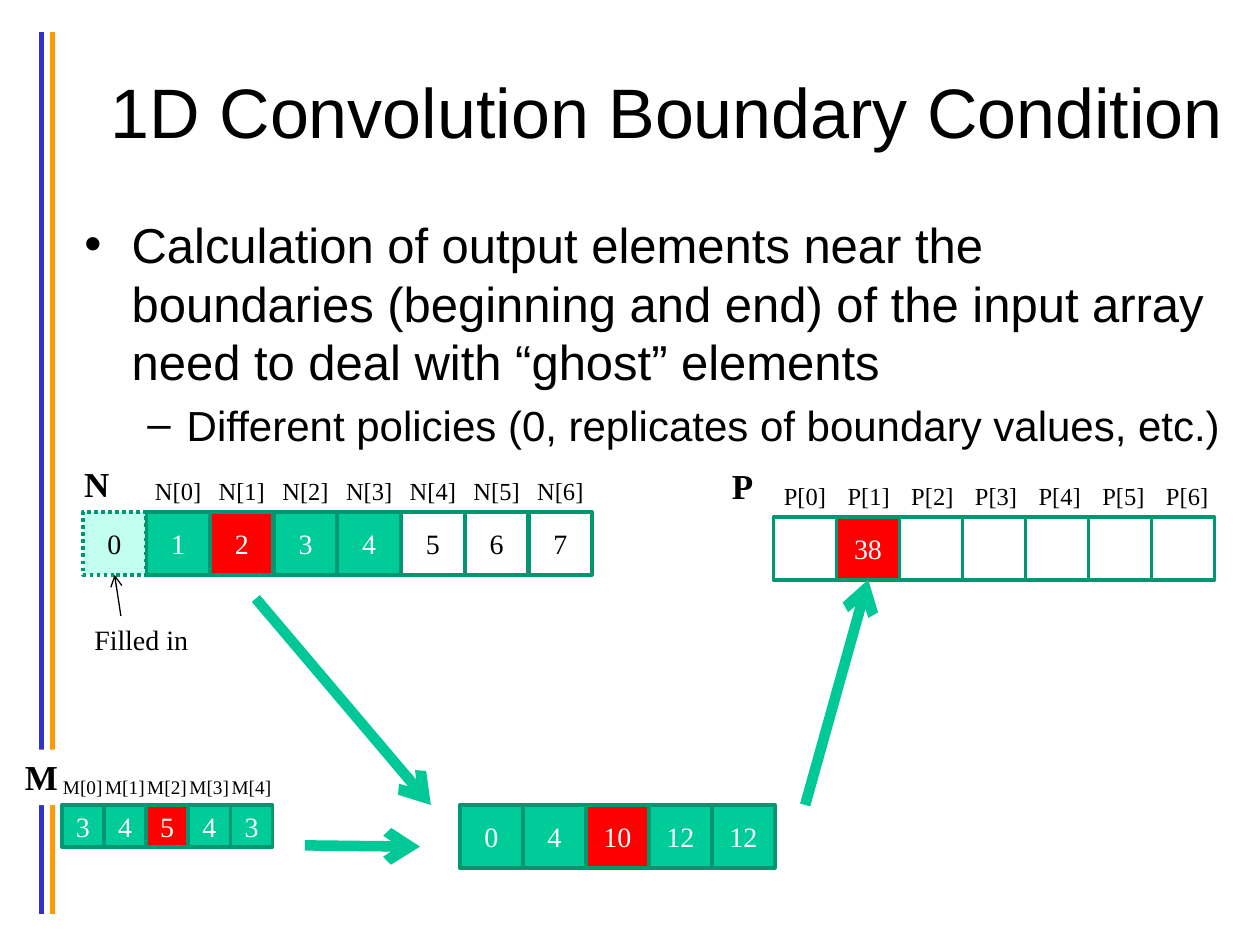
"""Build the slide on boundary conditions in 1D convolution."""
from dataclasses import dataclass

from lxml import etree
from pptx import Presentation
from pptx.dml.color import RGBColor
from pptx.enum.dml import MSO_LINE
from pptx.enum.shapes import MSO_CONNECTOR, MSO_SHAPE
from pptx.enum.text import MSO_ANCHOR, PP_ALIGN
from pptx.oxml.ns import qn
from pptx.util import Pt

RECTANGLE = MSO_SHAPE.RECTANGLE
STRAIGHT = MSO_CONNECTOR.STRAIGHT
DOTTED = MSO_LINE.ROUND_DOT
CENTER, LEFT = PP_ALIGN.CENTER, PP_ALIGN.LEFT
MIDDLE, TOP = MSO_ANCHOR.MIDDLE, MSO_ANCHOR.TOP


@dataclass(frozen=True)
class Theme:
    heading_font: str = "Arial"
    diagram_font: str = "Times New Roman"
    black: str = "000000"
    white: str = "FFFFFF"
    green: str = "00CC99"
    border: str = "009771"
    focus: str = "FF0000"
    ghost: str = "C2FFF0"
    arrow: str = "00C896"
    blue_bar: str = "3333CC"
    orange_bar: str = "FF9900"
    title_size: int = 40
    array_name_size: int = 20
    value_size: int = 16


THEME = Theme()

TITLE = "1D Convolution Boundary Condition"
TITLE_BOX = (54, 18, 654, 90)
BULLETS = [
    ("Calculation of output elements near the boundaries (beginning and end) "
     "of the input array need to deal with “ghost” elements", 28, 27, -27),
    ("Different policies (0, replicates of boundary values, etc.)", 24, 58.5, -22.5),
]
BODY_BOX = (41, 118.8, 666, 174)

USED, FOCUS, GHOST, PLAIN = "used", "focus", "ghost", "plain"
STYLES = {
    USED: (THEME.green, THEME.white),
    FOCUS: (THEME.focus, THEME.white),
    GHOST: (THEME.ghost, THEME.black),
    PLAIN: (None, THEME.black),
}
WINDOW = [USED, USED, FOCUS, USED, USED]
ARRAYS = [
    dict(values=[3, 4, 5, 4, 3], styles=WINDOW, left=35.3, top=460,
         size=24, pitch=24.1, label="M", label_size=11),
    dict(values=[0, 4, 10, 12, 12], styles=WINDOW, left=262.8, top=460,
         size=36, pitch=36),
    dict(values=["", 38, "", "", "", "", ""], styles=[PLAIN, FOCUS] + [PLAIN] * 5,
         left=442, top=295.5, size=36, pitch=36, label="P", label_size=14, label_pitch=36.4),
    dict(values=[0, 1, 2, 3, 4, 5, 6, 7],
         styles=[GHOST, USED, FOCUS, USED, USED, PLAIN, PLAIN, PLAIN],
         left=47.4, top=292.5, size=36, pitch=36.4, label="N", label_size=14),
]
ARRAY_NAMES = [
    ("M", (7.2, 428.4, 33.8, 31.7), THEME.white),
    ("N", (41, 260.6, 29.5, 31.7), None),
    ("P", (411.1, 262.1, 26.6, 31.7), None),
]
GHOST_NOTE = ("Filled in", (46.8, 352, 69, 26.6))

BARS = [(23.9, THEME.blue_bar), (30, THEME.orange_bar)]
ARROWS = [
    ((174.2, 483.1), (240, 483.8), THEME.arrow, 6),
    ((460.1, 460), (496.1, 331.2), THEME.arrow, 6),
    ((146.2, 342), (246.2, 460), THEME.arrow, 6),
    ((69.1, 352), (65.5, 328.5), THEME.black, 0.75),
]


def place(part, box):
    part.left, part.top, part.width, part.height = map(Pt, box)


def style_paragraph(paragraph, font_name, size, color, bold=False):
    for run in paragraph.runs:
        run.font.name = font_name
        run.font.size = Pt(size)
        run.font.bold = bold
        run.font.color.rgb = RGBColor.from_string(color)


def add_line(slide, start, end, color, width, arrow=False):
    line = slide.shapes.add_connector(STRAIGHT, *map(Pt, (*start, *end)))
    line.line.color.rgb = RGBColor.from_string(color)
    line.line.width = Pt(width)
    if arrow:
        etree.SubElement(line.line._get_or_add_ln(), qn("a:tailEnd"), type="arrow")
    etree.SubElement(line._element.spPr, qn("a:effectLst"))


def add_label(slide, text, box, size, align=LEFT, bold=False, fill=None):
    label = slide.shapes.add_textbox(*map(Pt, box))
    label.text_frame.text = text
    label.text_frame.word_wrap = False
    label.text_frame.vertical_anchor = TOP
    paragraph = label.text_frame.paragraphs[0]
    paragraph.alignment = align
    style_paragraph(paragraph, THEME.diagram_font, size, THEME.black, bold)
    if fill:
        label.fill.solid()
        label.fill.fore_color.rgb = RGBColor.from_string(fill)


def add_cell(slide, value, style, left, top, size):
    fill, color = STYLES[style]
    cell = slide.shapes.add_shape(RECTANGLE, *map(Pt, (left, top, size, size)))
    cell.shadow.inherit = False
    if fill:
        cell.fill.solid()
        cell.fill.fore_color.rgb = RGBColor.from_string(fill)
    else:
        cell.fill.background()
    cell.line.color.rgb = RGBColor.from_string(THEME.border)
    cell.line.width = Pt(2)
    if style == GHOST:
        cell.line.dash_style = DOTTED
    frame = cell.text_frame
    frame.margin_left = frame.margin_right = frame.margin_top = frame.margin_bottom = 0
    frame.vertical_anchor = MIDDLE
    frame.text = str(value)
    frame.paragraphs[0].alignment = CENTER
    style_paragraph(frame.paragraphs[0], THEME.diagram_font, THEME.value_size, color)


def add_array(slide, values, styles, left, top, size, pitch,
              label=None, label_size=0, label_pitch=None):
    for position, (value, style) in enumerate(zip(values, styles)):
        add_cell(slide, value, style, left + position * pitch, top, size)
    if not label:
        return
    ghosts = styles.count(GHOST)
    width, height = 44, label_size * 1.2 + 7.2
    first = left + ghosts * pitch + (size - width) / 2
    for index in range(len(values) - ghosts):
        x = first + index * (label_pitch or pitch)
        add_label(slide, f"{label}[{index}]", (x, top - height, width, height),
                  label_size, CENTER)


def fill_placeholders(slide):
    title, body = slide.placeholders
    place(title, TITLE_BOX)
    title.text_frame.text = TITLE
    title.text_frame.vertical_anchor = MIDDLE
    heading = title.text_frame.paragraphs[0]
    heading.alignment = CENTER
    style_paragraph(heading, THEME.heading_font, THEME.title_size, THEME.black)

    place(body, BODY_BOX)
    body.text_frame.text = "\n".join(text for text, *_ in BULLETS)
    for level, paragraph in enumerate(body.text_frame.paragraphs):
        _, size, margin, indent = BULLETS[level]
        paragraph.level = level
        properties = paragraph._p.get_or_add_pPr()
        properties.set("marL", str(Pt(margin)))
        properties.set("indent", str(Pt(indent)))
        style_paragraph(paragraph, THEME.heading_font, size, THEME.black)


def main():
    deck = Presentation()
    deck.slide_width, deck.slide_height = Pt(720), Pt(540)
    slide = deck.slides.add_slide(deck.slide_layouts[1])
    fill_placeholders(slide)
    for x, color in BARS:
        add_line(slide, (x, 18), (x, 522), color, 3)
    for name, box, fill in ARRAY_NAMES:
        add_label(slide, name, box, THEME.array_name_size, bold=True, fill=fill)
    for array in ARRAYS:
        add_array(slide, **array)
    add_label(slide, *GHOST_NOTE, THEME.value_size)
    for start, end, color, width in ARROWS:
        add_line(slide, start, end, color, width, arrow=True)
    deck.save("out.pptx")


if __name__ == "__main__":
    main()
